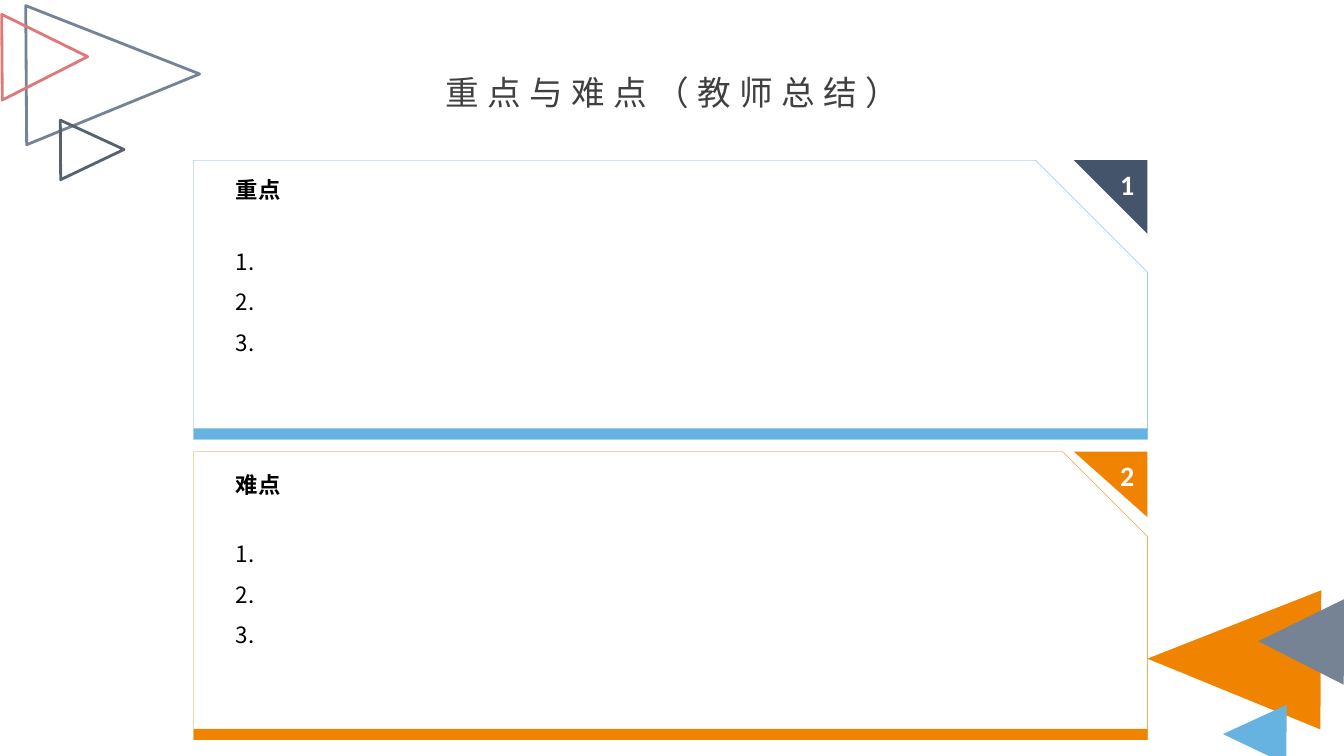
from pptx import Presentation
from pptx.dml.color import RGBColor
from pptx.enum.shapes import MSO_SHAPE
from pptx.enum.text import MSO_ANCHOR, PP_ALIGN
from pptx.util import Inches, Pt

ORANGE = RGBColor(0xF0, 0x83, 0x00)
BLUE = RGBColor(0x66, 0xB3, 0xE1)
NAVY = RGBColor(0x44, 0x54, 0x6A)
SLATE = RGBColor(0x76, 0x83, 0x95)
DARK_SLATE = RGBColor(0x57, 0x62, 0x71)
ROSE = RGBColor(0xDD, 0x79, 0x79)
CHARCOAL = RGBColor(0x40, 0x40, 0x40)
BLACK = RGBColor(0, 0, 0)
WHITE = RGBColor(0xFF, 0xFF, 0xFF)

presentation = Presentation()
presentation.slide_width = Inches(13.33)
presentation.slide_height = Inches(7.5)
slide = presentation.slides.add_slide(presentation.slide_layouts[6])


def paint(shape, fill=None, line=None, width=0):
    shape.shadow.inherit = False
    if fill is None:
        shape.fill.background()
    else:
        shape.fill.solid()
        shape.fill.fore_color.rgb = fill
    if line is None:
        shape.line.fill.background()
    else:
        shape.line.color.rgb = line
        shape.line.width = Pt(width)


def write(frame, lines, size, color, font="Calibri", bold=False,
          align=PP_ALIGN.LEFT, spacing=None):
    frame.word_wrap = True
    frame.text = "\n".join(lines)
    for paragraph in frame.paragraphs:
        paragraph.alignment = align
        paragraph.line_spacing = spacing
        paragraph.font.name = font
        paragraph.font.size = Pt(size)
        paragraph.font.bold = bold
        paragraph.font.color.rgb = color


for left, top, width, height, rotation, fill, line in [
    (11.55, 5.68, 1.38, 1.72, 270.4, ORANGE, None),
    (12.15, 6.97, 0.59, 0.63, 270.4, BLUE, None),
    (12.48, 5.94, 0.85, 0.85, 270.4, SLATE, None),
    (0.43, -0.12, 1.38, 1.72, 89.6, None, SLATE),
    (0.62, 1.17, 0.59, 0.63, 89.6, None, DARK_SLATE),
    (0.02, 0.14, 0.85, 0.85, 89.6, None, ROSE),
]:
    triangle = slide.shapes.add_shape(
        MSO_SHAPE.ISOSCELES_TRIANGLE,
        Inches(left), Inches(top), Inches(width), Inches(height))
    triangle.rotation = rotation
    paint(triangle, fill, line, 2)

title = slide.shapes.add_textbox(
    Inches(2.75), Inches(0.71), Inches(7.83), Inches(0.4)).text_frame
title.margin_left = title.margin_right = title.margin_top = title.margin_bottom = 0
title.vertical_anchor = MSO_ANCHOR.MIDDLE
write(title, ["重点与难点（教师总结）"], 24, CHARCOAL, align=PP_ALIGN.CENTER)
title.paragraphs[0].runs[0]._r.get_or_add_rPr().set("spc", "600")

CARD_LEFT, CARD_WIDTH, BAR_HEIGHT = 1.92, 9.46, 0.11
CARD_RIGHT = CARD_LEFT + CARD_WIDTH
TEXT_LEFT, FLAG_WIDTH = 2.24, 0.73

for number, heading, top, height, snip, heading_top, points_top, flag_height, accent, flag_color in [
    ("1", "重点", 1.59, 2.77, 0.4, 1.7, 2.28, 0.73, BLUE, NAVY),
    ("2", "难点", 4.48, 2.86, 0.294, 4.62, 5.18, 0.65, ORANGE, ORANGE),
]:
    card = slide.shapes.add_shape(
        MSO_SHAPE.SNIP_1_RECTANGLE,
        Inches(CARD_LEFT), Inches(top), Inches(CARD_WIDTH), Inches(height))
    card.adjustments[0] = snip
    paint(card, WHITE, accent, 0.25)

    bar = slide.shapes.add_shape(
        MSO_SHAPE.RECTANGLE, Inches(CARD_LEFT), Inches(top + height - BAR_HEIGHT),
        Inches(CARD_WIDTH), Inches(BAR_HEIGHT))
    paint(bar, accent)

    outline = slide.shapes.build_freeform(Inches(CARD_RIGHT), Inches(top))
    outline.add_line_segments([
        (Inches(CARD_RIGHT - FLAG_WIDTH), Inches(top)),
        (Inches(CARD_RIGHT), Inches(top + flag_height)),
    ])
    flag = outline.convert_to_shape()
    paint(flag, flag_color)
    label = flag.text_frame
    label.margin_left = label.margin_right = Inches(0.13)
    label.margin_top = label.margin_bottom = Inches(0.07)
    label.vertical_anchor = MSO_ANCHOR.TOP
    write(label, [number], 20, WHITE, bold=True, align=PP_ALIGN.RIGHT)

    heading_box = slide.shapes.add_textbox(
        Inches(TEXT_LEFT), Inches(heading_top), Inches(5.47), Inches(0.37))
    write(heading_box.text_frame, [heading], 16, BLACK, bold=True)

    points = slide.shapes.add_textbox(
        Inches(TEXT_LEFT), Inches(points_top), Inches(8.49), Inches(1.27))
    write(points.text_frame, ["1.", "2.", "3."], 16, BLACK,
          font="Noto Sans CJK SC", spacing=1.5)

presentation.save("out.pptx")
